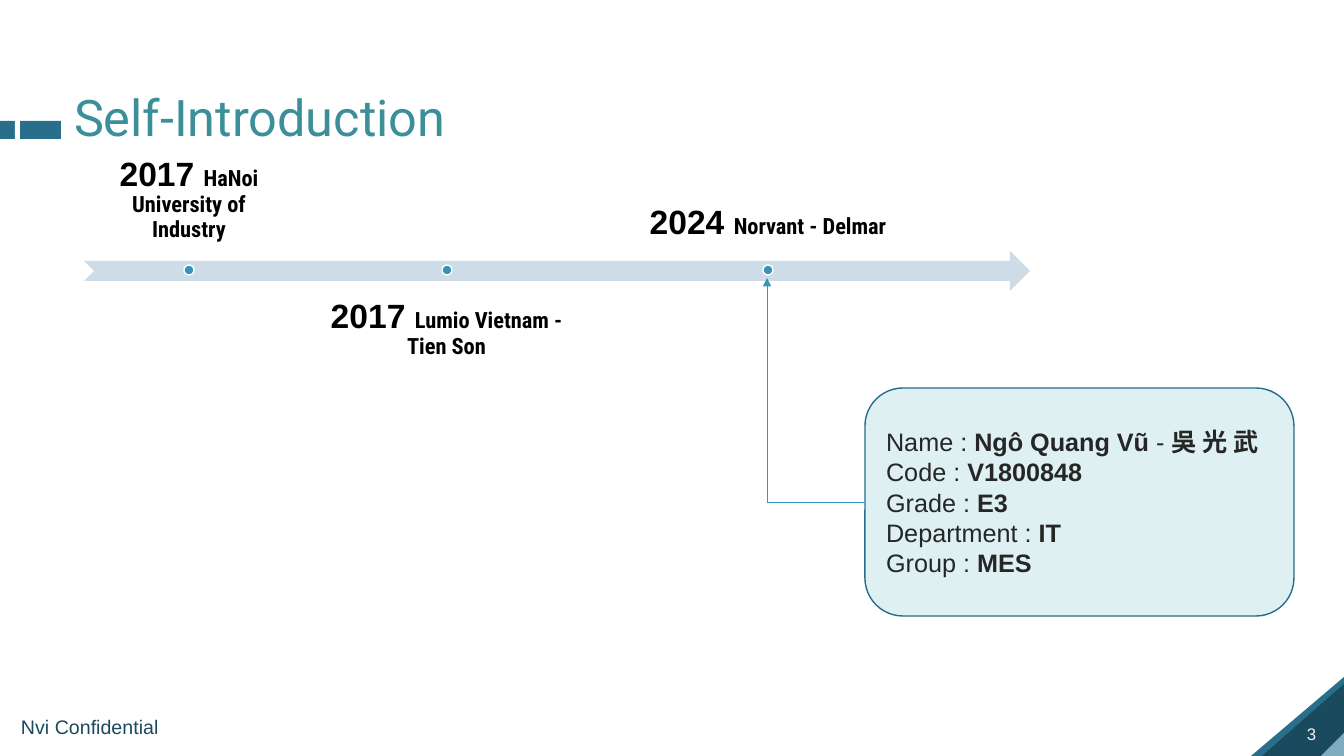
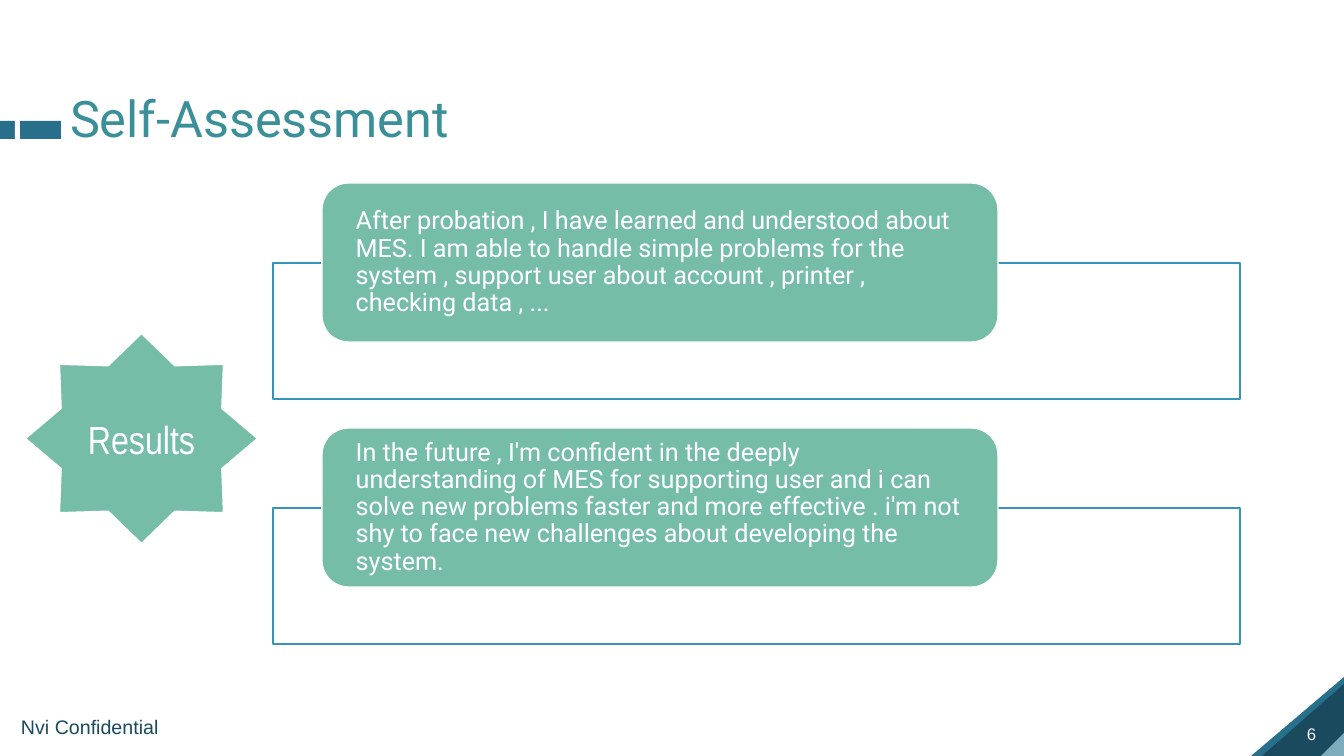
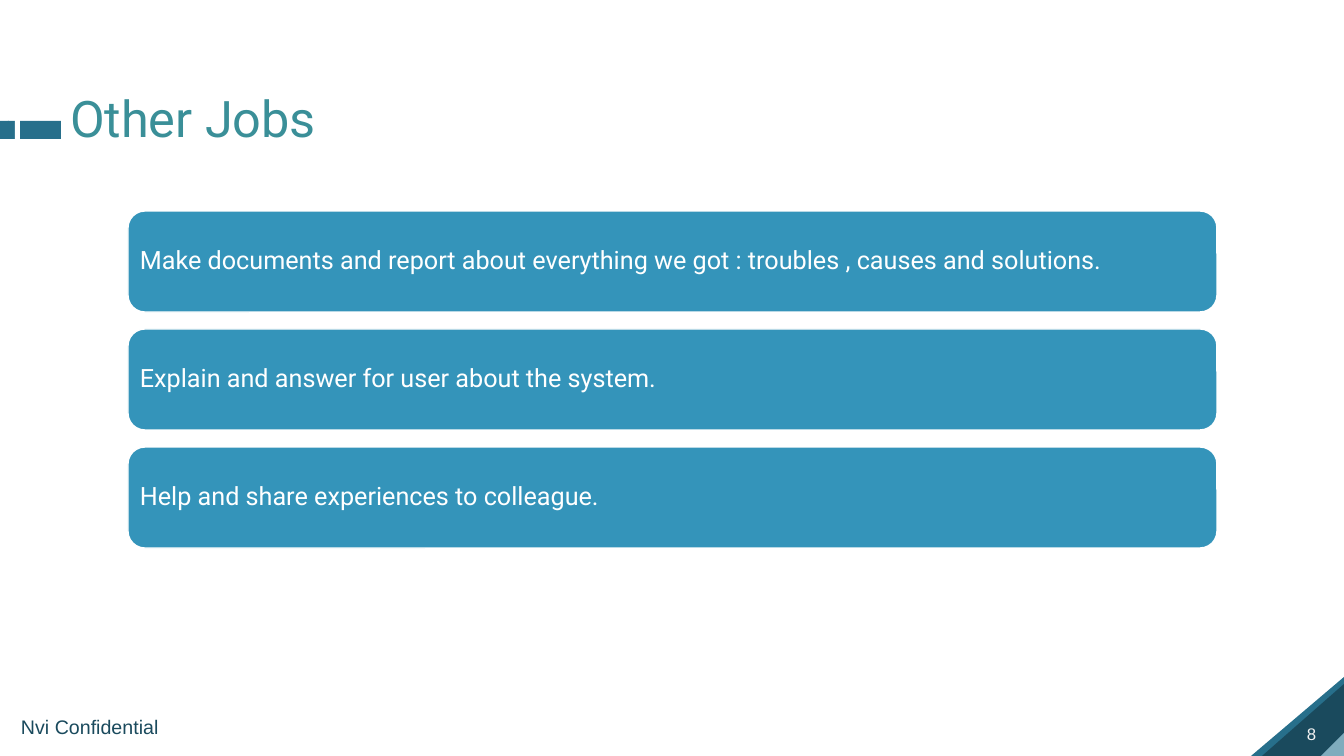
import pptx
import pptx.util
import pptx.dml.color
import pptx.enum.shapes
import pptx.enum.text
import pptx.oxml.ns
from lxml import etree

PX = 914400 / 100.8
COLORS = {
    "white": "FFFFFF", "black": "000000", "title": "3A8F98", "band": "276F8B",
    "navy": "1A4A5D", "sky": "AAD6E7", "number": "F2F2F2", "arrow": "CEDCE7",
    "blue": "3494BA", "card": "DEF0F2", "card_line": "266D8A", "ink": "262626",
    "green": "75BDA7",
}
SHAPE = pptx.enum.shapes.MSO_SHAPE
ALIGN = pptx.enum.text.PP_ALIGN
ANCHOR = pptx.enum.text.MSO_ANCHOR
qn = pptx.oxml.ns.qn


def add_box(slide, preset, at, fill=None, line=None, width=1, opacity=100):
    """Add a preset shape, or a text box when preset is None."""
    place = [round(value * PX) for value in at]
    if preset is None:
        return slide.shapes.add_textbox(*place)
    box = slide.shapes.add_shape(preset, *place)
    box.shadow.inherit = False
    box.fill.solid()
    box.fill.fore_color.rgb = pptx.dml.color.RGBColor.from_string(COLORS[fill])
    if opacity < 100:
        color = box.fill._xPr.find(".//" + qn("a:srgbClr"))
        etree.SubElement(color, qn("a:alpha")).set("val", str(opacity * 1000))
    if line:
        box.line.color.rgb = pptx.dml.color.RGBColor.from_string(COLORS[line])
        box.line.width = pptx.util.Pt(width)
    else:
        box.line.fill.background()
    return box


def write(box, paragraphs, color, size, name="Arial", align=ALIGN.LEFT,
          anchor=ANCHOR.TOP, insets=(10, 5), spacing=1.0, wrap=True):
    """Fill a box with paragraphs, each a list of (text, run format) pairs."""
    frame = box.text_frame
    across, down = (round(inset * PX) for inset in insets)
    frame_format = {
        "auto_size": pptx.enum.text.MSO_AUTO_SIZE.NONE, "word_wrap": wrap,
        "vertical_anchor": anchor, "margin_left": across, "margin_right": across,
        "margin_top": down, "margin_bottom": down,
    }
    for key, value in frame_format.items():
        setattr(frame, key, value)
    for index, runs in enumerate(paragraphs):
        paragraph = frame.add_paragraph() if index else frame.paragraphs[0]
        paragraph.alignment = align
        paragraph.line_spacing = spacing
        for text, run_format in runs:
            run = paragraph.add_run()
            run.text = text
            run.font.color.rgb = pptx.dml.color.RGBColor.from_string(COLORS[color])
            font_format = {"size": pptx.util.Pt(size), "name": name, **run_format}
            for key, value in font_format.items():
                setattr(run.font, key, value)


deck = pptx.Presentation()
deck.slide_width, deck.slide_height = round(1344 * PX), round(756 * PX)
layout = deck.slide_layouts[5]
for placeholder in list(layout.placeholders):
    if placeholder.placeholder_format.idx:
        placeholder.element.getparent().remove(placeholder.element)

# Slides with title and page number
pages = [
    ("Self-Introduction", (64, 88, 417, 53), "3"),
    ("Self-Assessment", (60, 89, 449, 60), "6"),
    ("Other Jobs", (60, 89, 1013, 60), "8"),
]
for heading, at, number in pages:
    slide = deck.slides.add_slide(layout)
    title = slide.shapes.title
    title.left, title.top, title.width, title.height = (round(v * PX) for v in at)
    write(title, [[(heading, {})]], "title", 36, "Roboto", spacing=0.9)
    write(add_box(slide, None, (1297, 719, 44, 30)), [[(number, {})]], "number", 12)
introduction, assessment, jobs = deck.slides

# Corner, title band and footer, drawn once and moved to the layout
shared = []
for at, fill, opacity in [((1258, 670, 79, 93), "band", 100),
                          ((1267, 679, 72, 82), "navy", 100),
                          ((1321, 733, 23, 23), "sky", 70)]:
    corner = add_box(introduction, SHAPE.RIGHT_TRIANGLE, at, fill, opacity=opacity)
    corner.rotation = 270
    shared.append(corner)
for left, width in [(0, 9), (8, 22), (30, 9), (39, 22)]:
    shared.append(add_box(introduction, SHAPE.RECTANGLE, (left, 121, width, 18), "band"))
shared.append(add_box(introduction, SHAPE.RECTANGLE, (15, 109, 5, 51), "white"))
footer = add_box(introduction, None, (11, 710, 151, 34))
write(footer, [[("Nvi Confidential", {})]], "navy", 14, wrap=False)
shared.append(footer)
for part in shared:
    layout.shapes.element.append(part.element)

# Self-Introduction: timeline
add_box(introduction, SHAPE.NOTCHED_RIGHT_ARROW, (84, 251, 946, 40), "arrow")
milestones = [
    ("2017 ", "HaNoi University of Industry", (84, 221, 210, 40), ANCHOR.BOTTOM, 189),
    ("2017 ", "Lumio Vietnam - Tien Son", (301, 280, 291, 40), ANCHOR.TOP, 447),
    ("2024 ", "Norvant - Delmar", (600, 221, 336, 40), ANCHOR.BOTTOM, 768),
]
for year, place, at, anchor, center in milestones:
    place_format = {"size": pptx.util.Pt(16), "name": "Roboto Condensed", "bold": True}
    write(add_box(introduction, None, at), [[(year, {"bold": True}), (place, place_format)]],
          "black", 24, align=ALIGN.CENTER, anchor=anchor, insets=(19, 19), spacing=0.9)
    add_box(introduction, SHAPE.OVAL, (center - 5, 265, 10, 10), "blue", "white")

# Self-Introduction: profile card and its arrow
profile = [("Name : ", "Ngô Quang Vũ"), ("Code : ", "V1800848"), ("Grade : ", "E3"),
           ("Department : ", "IT"), ("Group : ", "MES")]
profile_lines = [[(label, {}), (value, {"bold": True})] for label, value in profile]
profile_lines[0] += [(" - ", {}), ("吳 光 武", {"bold": True})]
card = add_box(introduction, SHAPE.ROUNDED_RECTANGLE, (865, 388, 429, 228), "card", "card_line")
write(card, profile_lines, "ink", 18, align=ALIGN.JUSTIFY, anchor=ANCHOR.MIDDLE)

pointer = introduction.shapes.add_connector(
    pptx.enum.shapes.MSO_CONNECTOR.ELBOW, *(round(v * PX) for v in (767, 278, 865, 502)))
pointer.line.color.rgb = pptx.dml.color.RGBColor.from_string(COLORS["blue"])
pointer.line.width = pptx.util.Pt(0.5)
properties = pointer.element.spPr
properties.find(qn("a:prstGeom")).set("prst", "bentConnector2")
properties.find(qn("a:xfrm")).set("rot", "10800000")
etree.SubElement(properties.find(qn("a:ln")), qn("a:tailEnd")).set("type", "triangle")
etree.SubElement(properties, qn("a:effectLst"))

# Self-Assessment: results
results = [
    "After probation , I have learned and understood about MES. I am able to handle simple "
    "problems for the system , support user about account , printer , checking data , ...",
    "In the future , I'm confident in the deeply understanding of MES for supporting user and "
    "i can solve new problems faster and more effective . i'm not shy to face new challenges "
    "about developing the system.",
]
for index, result in enumerate(results):
    top = 183 + 245 * index
    add_box(assessment, SHAPE.RECTANGLE, (273, top + 80, 967, 136), "white", "blue", opacity=90)
    panel = add_box(assessment, SHAPE.ROUNDED_RECTANGLE, (322, top, 676, 159), "green", "white")
    write(panel, [[(result, {})]], "white", 18, "Roboto", anchor=ANCHOR.MIDDLE,
          insets=(26, 0), spacing=0.9)
star = add_box(assessment, SHAPE.STAR_8_POINT, (25, 333, 233, 211), "green", "white", 1.5)
write(star, [[("Results", {})]], "white", 28, "Arial Narrow", ALIGN.CENTER, ANCHOR.MIDDLE)

# Other Jobs: bars
duties = [
    "Make documents and report about everything we got : troubles , causes and solutions.",
    "Explain and answer for user about the system.",
    "Help and share experiences to colleague.",
]
for index, duty in enumerate(duties):
    bar = add_box(jobs, SHAPE.ROUNDED_RECTANGLE, (128, 211 + 118 * index, 1089, 101),
                  "blue", "white")
    write(bar, [[(duty, {})]], "white", 18, "Roboto", anchor=ANCHOR.MIDDLE,
          insets=(7, 7), spacing=0.9)

deck.save("out.pptx")
